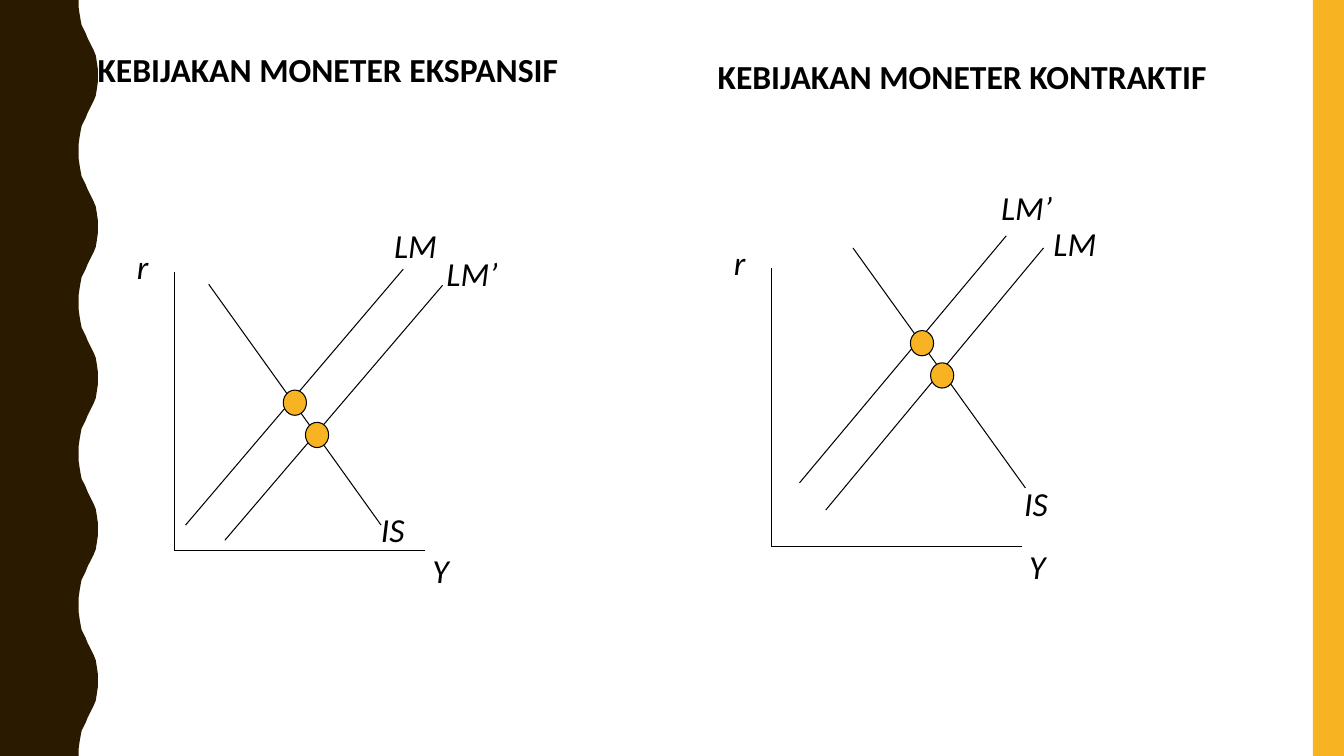
from pptx import Presentation
from pptx import util as u
from pptx.dml.color import RGBColor
from pptx.enum import shapes, text
from pptx.oxml.ns import qn
from lxml import etree

PX = u.Inches(1) // 100
BLACK, BROWN, AMBER = "000000", "2A1A00", "F8B323"


def color(value):
    return RGBColor.from_string(value)


def add_label(words, left, top, width, height, wrap, style):
    box = slide.shapes.add_textbox(left * PX, top * PX, width * PX, height * PX)
    box.text_frame.word_wrap = wrap
    box.text_frame.vertical_anchor = text.MSO_ANCHOR.TOP
    paragraph = box.text_frame.paragraphs[0]
    paragraph.text = words
    font = paragraph.runs[0].font
    for name, value in {"name": "Calibri", "size": u.Pt(24), **style}.items():
        setattr(font, name, value)
    font.color.rgb = color(BLACK)


presentation = Presentation()
presentation.slide_width, presentation.slide_height = 1333 * PX, 750 * PX
slide = presentation.slides.add_slide(presentation.slide_layouts[6])

rise = [(78, 0), (78, 7), (79, 14), (80, 20), (81, 25), (83, 29), (85, 33), (87, 38),
        (89, 42), (91, 46), (93, 50), (95, 55), (96, 61), (97, 68), (97, 75)]
wave = rise + [(x, 150 - y) for x, y in reversed(rise[:-1])]
edge = [(x, y + 150 * period) for period in range(5) for x, y in wave]
builder = slide.shapes.build_freeform(0, 0, scale=PX)
builder.add_line_segments(edge + [(0, 750)], close=True)
wavy_band = builder.convert_to_shape()
side_bar = slide.shapes.add_shape(shapes.MSO_SHAPE.RECTANGLE, 1302 * PX, 0, 31 * PX, 750 * PX)
for shape, fill in ((wavy_band, BROWN), (side_bar, AMBER)):
    shape.shadow.inherit = False
    shape.fill.solid()
    shape.fill.fore_color.rgb = color(fill)
    shape.line.fill.background()

panels = [
    {
        "title": ("KEBIJAKAN MONETER EKSPANSIF", 87, 44, 557),
        "origin": (173, 546),
        "curves": [(184, 521, 400, 267), (223, 536, 439, 283), (207, 282, 378, 521)],
        "labels": [("LM", 381, 218, 149), ("LM’", 433, 246, 149), ("IS", 368, 500, 52)],
        "equilibria": [(281, 387), (303, 419)],
    },
    {
        "title": ("KEBIJAKAN MONETER KONTRAKTIF", 702, 51, 594),
        "origin": (765, 542),
        "curves": [(819, 506, 1035, 246), (793, 479, 998, 234), (846, 246, 1017, 484)],
        "labels": [("LM", 1035, 216, 149), ("LM’", 983, 181, 149), ("IS", 1006, 474, 52)],
        "equilibria": [(923, 360), (903, 328)],
    },
]

for panel in panels:
    x, y = panel["origin"]
    add_label(*panel["title"], 91, True, {"bold": True})

    axes = [(x, y - 276, x, y), (x + 249, y, x, y)]
    for ends in axes + panel["curves"]:
        line = slide.shapes.add_connector(
            shapes.MSO_CONNECTOR.STRAIGHT, *(value * PX for value in ends))
        line.line.color.rgb = color(BLACK)
        line.line.width = u.Pt(0.75)
        etree.SubElement(line._element.spPr, qn("a:effectLst"))

    axis_labels = [("r", x - 47, y - 307, 31), ("Y", x + 246, y - 5, 43)]
    for words, left, top, width in axis_labels + panel["labels"]:
        add_label(words, left, top, width, 50, width > 100, {"italic": True})

    for left, top in panel["equilibria"]:
        dot = slide.shapes.add_shape(
            shapes.MSO_SHAPE.OVAL, left * PX, top * PX, 23 * PX, 25 * PX)
        dot.shadow.inherit = False
        dot.fill.solid()
        dot.fill.fore_color.rgb = color(AMBER)
        dot.line.color.rgb = color(BLACK)
        dot.line.width = u.Pt(0.75)

presentation.save("out.pptx")
